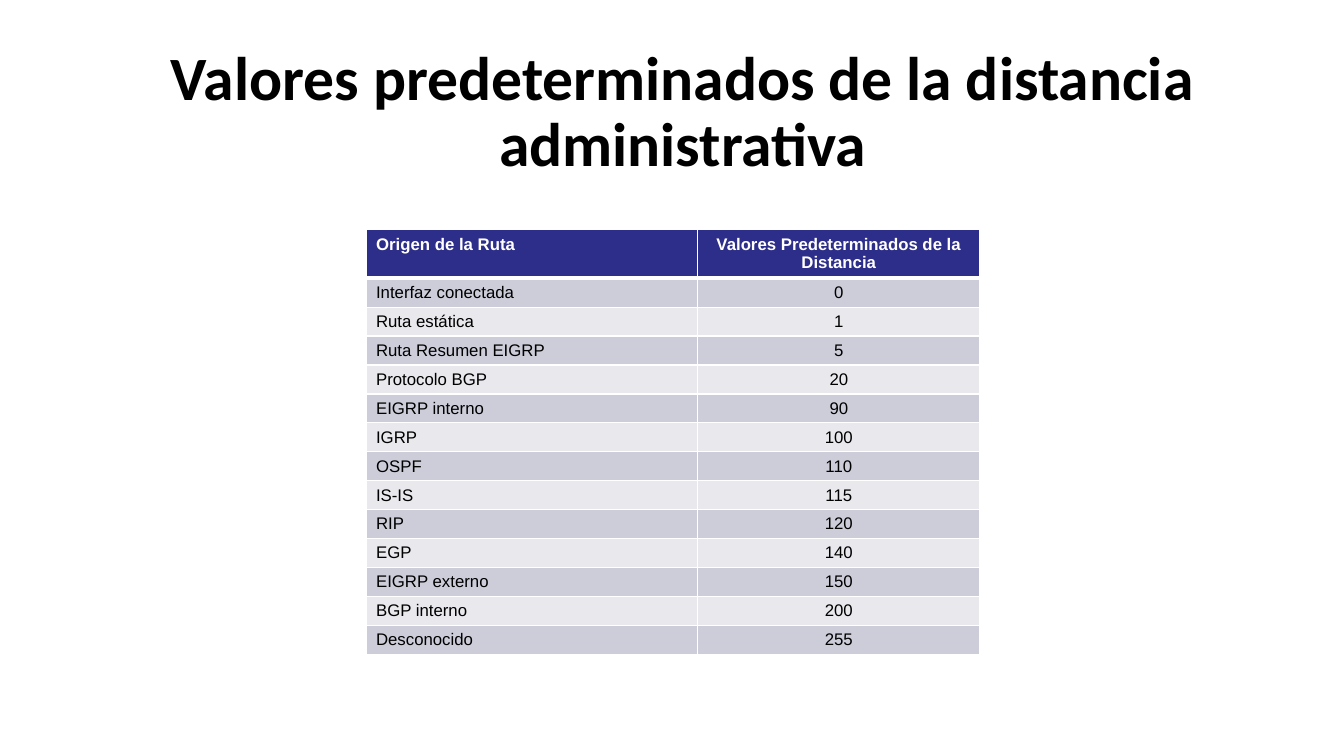
from lxml.etree import SubElement
from pptx import Presentation
from pptx.dml.color import RGBColor as RGB
from pptx.enum.text import MSO_ANCHOR as ANCHOR, PP_ALIGN as ALIGN
from pptx.oxml.ns import qn
from pptx.util import Inches, Pt

COLORS = {"header": "2D2D8A", "odd": "CDCDDA", "even": "E8E8ED",
          "white": "FFFFFF", "black": "000000"}
TITLE = "Valores predeterminados de la distancia administrativa"
HEADERS = ("Origen de la Ruta", "Valores Predeterminados de la Distancia")
ROUTES = [
    ("Interfaz conectada", 0), ("Ruta estática", 1), ("Ruta Resumen EIGRP", 5),
    ("Protocolo BGP", 20), ("EIGRP interno", 90), ("IGRP", 100), ("OSPF", 110),
    ("IS-IS", 115), ("RIP", 120), ("EGP", 140), ("EIGRP externo", 150),
    ("BGP interno", 200), ("Desconocido", 255),
]


def write(tf, text, align, color, **font):
    """Fill a text frame with one formatted paragraph."""
    p = tf.paragraphs[0]
    p.alignment = align
    r = p.add_run()
    r.text = text
    for name, value in font.items():
        setattr(r.font, name, value)
    r.font.color.rgb = RGB.from_string(COLORS[color])
    return p


def set_borders(cell, **widths):
    """Give a cell white borders of the given widths in points."""
    tcPr = cell._tc.get_or_add_tcPr()
    for side in "LRTB":
        ln = SubElement(tcPr, qn(f"a:ln{side}"), w=str(Pt(widths.get(side, 1))))
        fill = SubElement(ln, qn("a:solidFill"))
        SubElement(fill, qn("a:srgbClr"), val=COLORS["white"])


def add_title(s, left, top, width, height):
    """Place and format the slide title in its box."""
    sp = s.shapes.title
    box = {"left": left, "top": top, "width": width, "height": height}
    for name, value in box.items():
        setattr(sp, name, Inches(value))
    tf = sp.text_frame
    tf.word_wrap = True
    tf.vertical_anchor = ANCHOR.MIDDLE
    p = write(tf, TITLE, ALIGN.CENTER, "black", name="Calibri", size=Pt(44), bold=True)
    p.line_spacing = 0.9


def add_distance_table(s, left, top, col_widths, header_height, row_height):
    """Draw the banded table of administrative distances."""
    rows = [HEADERS, *ROUTES]
    heights = [header_height] + [row_height] * len(ROUTES)
    box = [Inches(v) for v in (left, top, sum(col_widths), sum(heights))]
    table = s.shapes.add_table(len(rows), len(HEADERS), *box).table
    for column, width in zip(table.columns, col_widths):
        column.width = Inches(width)
    for i, (values, height) in enumerate(zip(rows, heights)):
        table.rows[i].height = Inches(height)
        band = "header" if i == 0 else "odd" if i % 2 else "even"
        borders = {0: {"B": 3}, 1: {"T": 3}}.get(i, {})
        for j, (value, align) in enumerate(zip(values, (ALIGN.LEFT, ALIGN.CENTER))):
            cell = table.cell(i, j)
            set_borders(cell, **borders)
            cell.fill.solid()
            cell.fill.fore_color.rgb = RGB.from_string(COLORS[band])
            write(cell.text_frame, str(value), align, "black" if i else "white",
                  name="Arial", size=Pt(12), bold=i == 0)


prs = Presentation()
prs.slide_width, prs.slide_height = Inches(13.33), Inches(7.5)
s = prs.slides.add_slide(prs.slide_layouts[5])
add_title(s, 0.92, 0.4, 11.71, 1.45)
add_distance_table(s, 3.63, 2.28, (3.29, 2.8), 0.48, 0.27)
prs.save("out.pptx")
